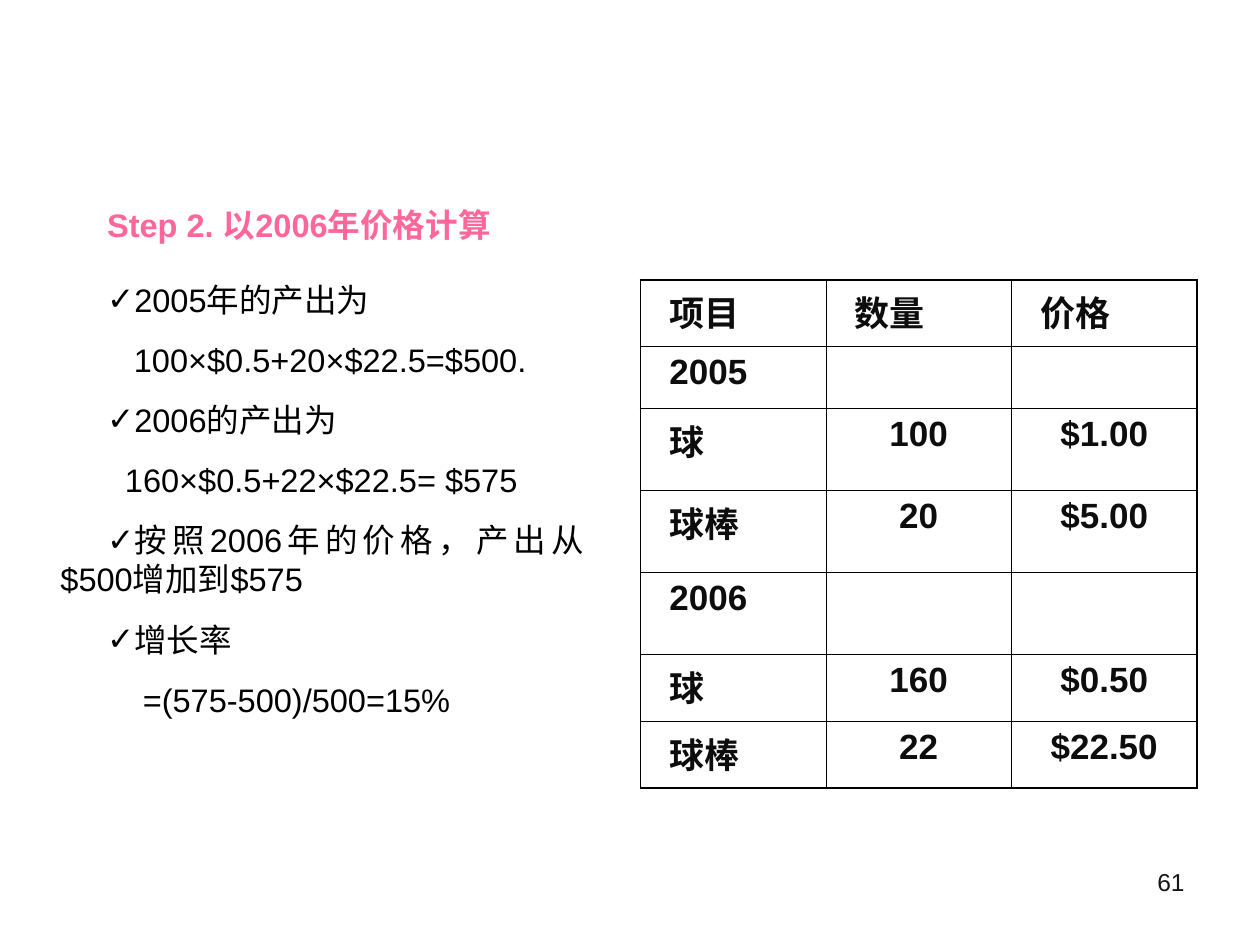
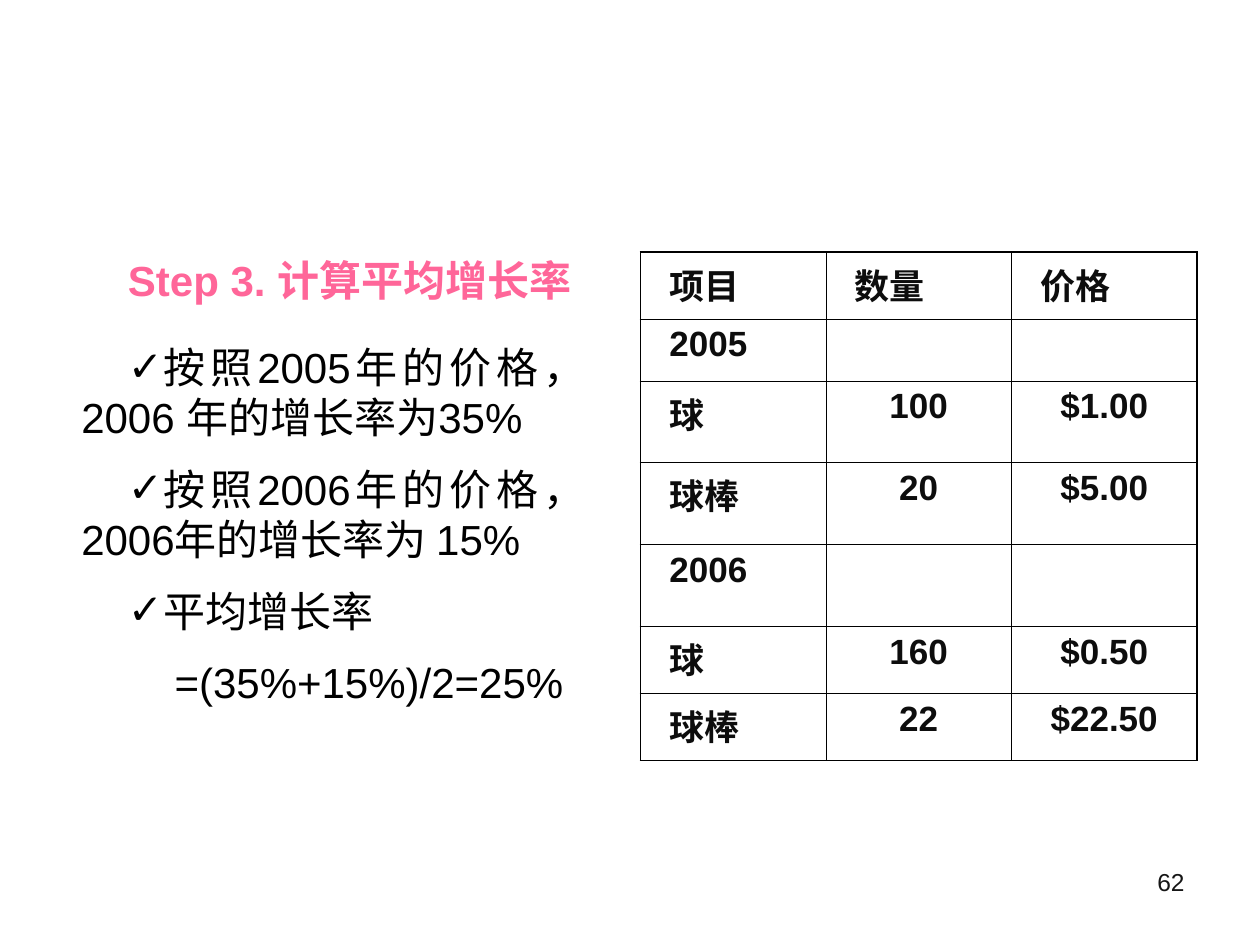
"""Builds two slides that work out output growth beside a price table."""
from dataclasses import dataclass

import lxml.etree
import pptx
import pptx.dml.color
import pptx.enum.text
import pptx.oxml.ns
import pptx.slide
import pptx.table
import pptx.text.text
import pptx.util

Cm = pptx.util.Cm
Pt = pptx.util.Pt
ALIGN = pptx.enum.text.PP_ALIGN
qn = pptx.oxml.ns.qn

FONT = "Arial"
COLOURS = {"step": "FF6699", "body": "000000", "table": "0D0D0D",
           "page": "161616", "border": "000000"}
HANGING_MARGIN = 0.33
FIRST_LINE = 0.94
OUTER_LINE, INNER_LINE = 1.08, 0.45
COLUMN_WIDTH = 3.74
ROW_HEIGHTS = (1.35, 1.25, 1.65, 1.65, 1.65, 1.35, 1.35)
PRICE_ROWS = (
    ("项目", "数量", "价格"),
    ("2005", "", ""),
    ("球", "100", "$1.00"),
    ("球棒", "20", "$5.00"),
    ("2006", "", ""),
    ("球", "160", "$0.50"),
    ("球棒", "22", "$22.50"),
)


@dataclass(frozen=True)
class Line:
    text: str
    ticked: bool = True
    extra_indent: float = 0


@dataclass(frozen=True)
class Step:
    number: int
    title: str
    lines: tuple[Line, ...]
    left: float
    top: float
    width: float
    height: float
    right_inset: float
    size: float
    title_spacing: float
    title_align: ALIGN
    table_top: float


STEPS = (
    Step(61, "Step 2. 以2006年价格计算", (
        Line("2005年的产出为"),
        Line("100×$0.5+20×$22.5=$500.", False, 0.54),
        Line("2006的产出为"),
        Line("160×$0.5+22×$22.5= $575", False, 0.36),
        Line("按照2006年的价格，产出从 $500增加到$575"),
        Line("增长率"),
        Line("=(575-500)/500=15%", False, 0.72),
    ), 0.64, 4.23, 12.28, 10.37, 1.14, 18.6, 0.7, ALIGN.LEFT, 5.64),
    Step(62, "Step 3. 计算平均增长率", (
        Line("按照2005年的价格，2006 年的增长率为35%"),
        Line("按照2006年的价格，2006年的增长率为 15%"),
        Line("平均增长率"),
        Line("=(35%+15%)/2=25%", False, 0.94),
    ), 1.06, 5, 11, 13, 0.25, 24, 1, ALIGN.JUSTIFY, 5.08),
)


def add_span(para: pptx.text.text._Paragraph, text: str, size: float,
             colour: str, bold: bool = False) -> None:
    span = para.add_run()
    span.text = text
    span.font.name = FONT
    span.font.size = Pt(size)
    span.font.bold = bold
    span.font.color.rgb = pptx.dml.color.RGBColor.from_string(COLOURS[colour])


def add_box(page: pptx.slide.Slide, left: float, top: float, width: float,
            height: float) -> pptx.text.text.TextFrame:
    frame = page.shapes.add_textbox(Cm(left), Cm(top), Cm(width), Cm(height)).text_frame
    frame.word_wrap = True
    return frame


def set_indent(para: pptx.text.text._Paragraph, margin: float, first: float) -> None:
    props = para._p.get_or_add_pPr()
    props.set("marL", str(Cm(margin)))
    props.set("indent", str(Cm(first)))


def add_tick(para: pptx.text.text._Paragraph) -> None:
    props = para._p.get_or_add_pPr()
    colour = lxml.etree.SubElement(props, qn("a:buClr"))
    lxml.etree.SubElement(colour, qn("a:srgbClr")).set("val", COLOURS["body"])
    lxml.etree.SubElement(props, qn("a:buFont")).set("typeface", FONT)
    lxml.etree.SubElement(props, qn("a:buChar")).set("char", "✓")


def add_working(page: pptx.slide.Slide, step: Step) -> None:
    frame = add_box(page, step.left, step.top, step.width, step.height)
    frame.margin_right = Cm(step.right_inset)
    para = frame.paragraphs[0]
    set_indent(para, HANGING_MARGIN, FIRST_LINE)
    para.alignment = step.title_align
    para.line_spacing = step.title_spacing
    para.space_after = Pt(15)
    add_span(para, step.title, step.size, "step", True)
    for line in step.lines:
        para = frame.add_paragraph()
        set_indent(para, HANGING_MARGIN, FIRST_LINE + line.extra_indent)
        if line.ticked:
            add_tick(para)
        para.alignment = ALIGN.JUSTIFY
        para.space_before = para.space_after = Pt(6)
        add_span(para, line.text, step.size, "body")


def set_borders(cell: pptx.table._Cell, outer: dict[str, bool]) -> None:
    props = cell._tc.get_or_add_tcPr()
    for index, (side, is_outer) in enumerate(outer.items()):
        border = lxml.etree.Element(qn(f"a:ln{side}"))
        border.set("w", str(Pt(OUTER_LINE if is_outer else INNER_LINE)))
        fill = lxml.etree.SubElement(border, qn("a:solidFill"))
        lxml.etree.SubElement(fill, qn("a:srgbClr")).set("val", COLOURS["border"])
        props.insert(index, border)


def add_price_table(page: pptx.slide.Slide, top: float) -> None:
    row_count, column_count = len(PRICE_ROWS), len(PRICE_ROWS[0])
    table = page.shapes.add_table(
        row_count, column_count, Cm(12.91), Cm(top),
        Cm(COLUMN_WIDTH * column_count), Cm(sum(ROW_HEIGHTS))).table
    table.first_row = table.horz_banding = False
    for column in table.columns:
        column.width = Cm(COLUMN_WIDTH)
    for r, values in enumerate(PRICE_ROWS):
        table.rows[r].height = Cm(ROW_HEIGHTS[r])
        for c, value in enumerate(values):
            cell = table.cell(r, c)
            cell.fill.background()
            set_borders(cell, {"L": c == 0, "R": c == column_count - 1,
                               "T": r == 0, "B": r == row_count - 1})
            if not value:
                continue
            para = cell.text_frame.paragraphs[0]
            para.space_after = Pt(5)
            if r == 0 or c == 0:
                set_indent(para, HANGING_MARGIN, 0)
            else:
                para.alignment = ALIGN.CENTER
            add_span(para, value, 20, "table", True)


def add_page_number(page: pptx.slide.Slide, number: int) -> None:
    para = add_box(page, 18.2, 17.35, 5.93, 1.32).paragraphs[0]
    para.alignment = ALIGN.RIGHT
    add_span(para, str(number), 14, "page")


def main() -> None:
    deck = pptx.Presentation()
    deck.slide_width, deck.slide_height = Cm(25.4), Cm(19.05)
    for step in STEPS:
        page = deck.slides.add_slide(deck.slide_layouts[6])
        add_working(page, step)
        add_page_number(page, step.number)
        add_price_table(page, step.table_top)
    deck.save("out.pptx")


if __name__ == "__main__":
    main()
